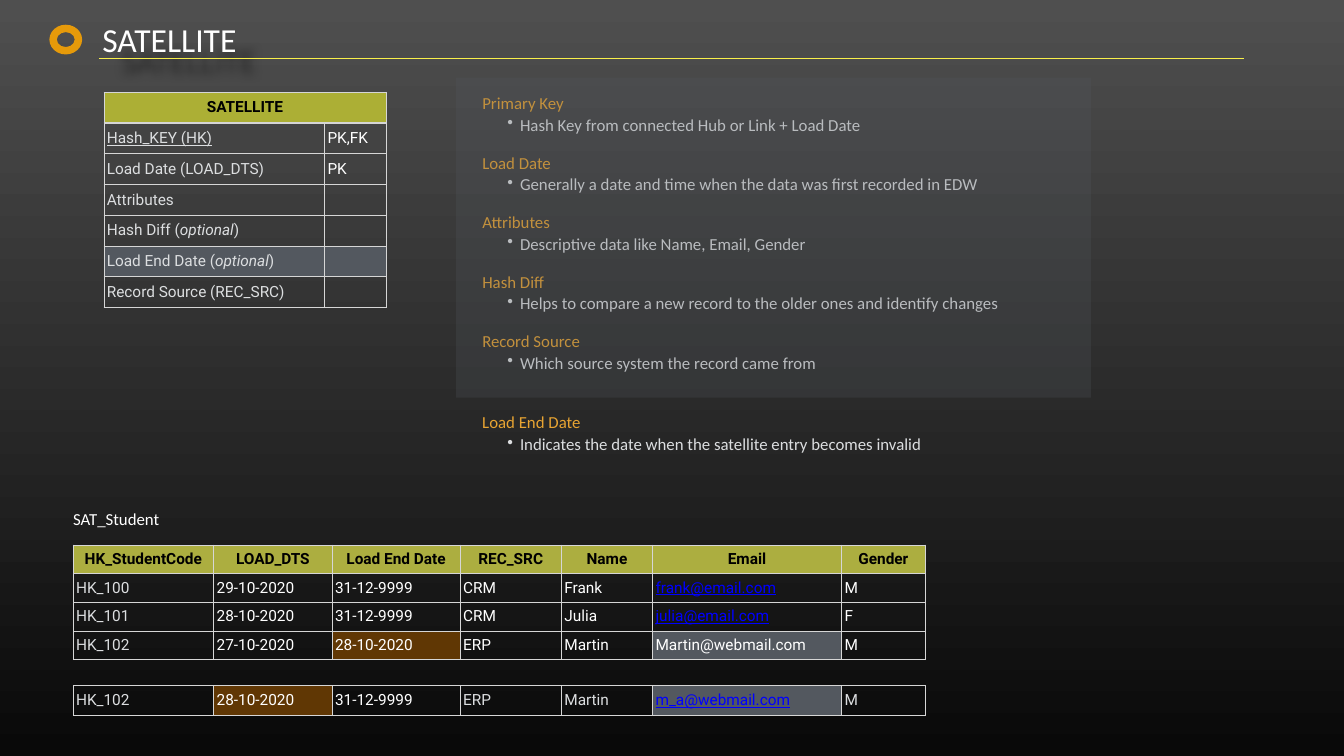
from dataclasses import dataclass

from lxml import etree
from pptx import Presentation
from pptx.dml.color import RGBColor
from pptx.enum.shapes import MSO_CONNECTOR as CONNECTOR, MSO_SHAPE as SHAPE
from pptx.enum.text import MSO_ANCHOR as ANCHOR, PP_ALIGN as ALIGN
from pptx.oxml.ns import qn
from pptx.util import Inches, Pt

WHITE, SILVER, BLACK = "FFFFFF", "DCDEE0", "000000"
GOLD, YELLOW, LINK = "E8A432", "F8EF4A", "0000FF"
OLIVE, BROWN, SLATE, BORDER = "ACAE40", "603704", "53585F", "D6D6D6"
INSET = 0.06
STUDENT_COLUMNS = [2.79, 2.35, 2.54, 2.01, 1.81, 3.75, 1.66]

DEFINITIONS = [
    ("Primary Key", "Hash Key from connected Hub or Link + Load Date"),
    ("Load Date", "Generally a date and time when the data was first recorded in EDW"),
    ("Attributes", "Descriptive data like Name, Email, Gender"),
    ("Hash Diff", "Helps to compare a new record to the older ones and identify changes"),
    ("Record Source", "Which source system the record came from"),
]
LOAD_END_DATE = ("Load End Date", "Indicates the date when the satellite entry becomes invalid")


@dataclass
class Entry:
    """A table cell; text between bars is italic."""
    text: str = ""
    color: str = WHITE
    fill: str = ""
    underline: bool = False
    header: bool = False


def rgb(code):
    return RGBColor.from_string(code)


def style(font, size, color, name="Calibri"):
    font.size, font.name = Pt(size), name
    font.color.rgb = rgb(color)


def sub(parent, tag, **attributes):
    return etree.SubElement(parent, qn(tag), {k: str(v) for k, v in attributes.items()})


def add_background(slide):
    fill = slide.background.fill
    fill.gradient()
    fill.gradient_angle = 270
    for stop, color, position in zip(fill.gradient_stops, ("4F4F4F", "090909"), (0, 1)):
        stop.color.rgb, stop.position = rgb(color), position


def add_text_box(slide, left, top, width, height, inset=INSET):
    box = slide.shapes.add_textbox(Inches(left), Inches(top), Inches(width), Inches(height))
    frame = box.text_frame
    frame.word_wrap, frame.vertical_anchor = True, ANCHOR.MIDDLE
    frame.margin_left = frame.margin_right = Inches(inset)
    frame.margin_top = frame.margin_bottom = Inches(inset)
    return box


def add_heading(slide):
    title = add_text_box(slide, 1.95, 0.39, 10.57, 0.77, inset=0.08)
    paragraph = title.text_frame.paragraphs[0]
    paragraph.text = "SATELLITE"
    style(paragraph.font, 48, WHITE)
    effects = sub(title._element.spPr, "a:effectLst")
    shadow = sub(effects, "a:outerShdw", blurRad=Inches(0.2), dist=Inches(0.55), dir=2700000)
    sub(sub(shadow, "a:srgbClr", val=BLACK), "a:alpha", val=50000)

    rule = slide.shapes.add_connector(
        CONNECTOR.STRAIGHT, Inches(1.97), Inches(1.15), Inches(24.69), Inches(1.15))
    rule.line.color.rgb, rule.line.width = rgb(YELLOW), Pt(1)
    sub(rule._element.spPr, "a:effectLst")


def add_plain_shape(slide, kind, left, top, width, height, color):
    shape = slide.shapes.add_shape(
        kind, Inches(left), Inches(top), Inches(width), Inches(height))
    shape.shadow.inherit = False
    shape.fill.solid()
    shape.fill.fore_color.rgb = rgb(color)
    shape.line.fill.background()
    return shape


def add_definition(slide, top, term, meaning, width=13.98):
    frame = add_text_box(slide, 9.51, top, width, 0.99).text_frame
    heading = frame.paragraphs[0]
    heading.text = term
    detail = frame.add_paragraph()
    detail.text, detail.level = meaning, 1
    properties = detail._p.get_or_add_pPr()
    properties.set("marL", str(Inches(0.75)))
    properties.set("indent", str(Inches(-0.25)))
    detail.space_before = Pt(5)
    sub(properties, "a:buChar", char="•")
    for paragraph, color in ((heading, GOLD), (detail, SILVER)):
        paragraph.line_spacing = 0.9
        style(paragraph.font, 24, color)


def add_cell_borders(cell, bottom_width):
    properties = cell._tc.get_or_add_tcPr()
    for tag, width in (("a:lnL", 1), ("a:lnR", 1), ("a:lnT", 1), ("a:lnB", bottom_width)):
        line = sub(properties, tag, w=Pt(width))
        sub(sub(line, "a:solidFill"), "a:srgbClr", val=BORDER)


def write_cell(cell, entry):
    add_cell_borders(cell, 2 if entry.header else 1)
    if entry.fill:
        cell.fill.solid()
        cell.fill.fore_color.rgb = rgb(entry.fill)
    else:
        cell.fill.background()
    cell.vertical_anchor = ANCHOR.MIDDLE
    cell.margin_left = cell.margin_right = Inches(INSET)
    cell.margin_top = cell.margin_bottom = Inches(INSET)

    paragraph = cell.text_frame.paragraphs[0]
    paragraph.alignment = ALIGN.CENTER if entry.header else ALIGN.LEFT
    style(paragraph.font, 22, entry.color, "Roboto")
    paragraph.font.bold, paragraph.font.underline = entry.header, entry.underline
    for index, part in enumerate(entry.text.split("|")):
        if part:
            run = paragraph.add_run()
            run.text = part
            if index % 2:
                run.font.italic = True


def add_grid(slide, left, top, columns, row_height, rows):
    table = slide.shapes.add_table(
        len(rows), len(columns), Inches(left), Inches(top),
        Inches(sum(columns)), Inches(row_height * len(rows))).table
    table.first_row = table.horz_banding = False
    for column, width in zip(table.columns, columns):
        column.width = Inches(width)
    for r, row in enumerate(rows):
        table.rows[r].height = Inches(row_height)
        for c, entry in enumerate(row):
            write_cell(table.cell(r, c), entry)
    return table


def header(text, fill=OLIVE):
    return Entry(text, BLACK, fill, header=True)


def student(code, loaded, ended, source, name, email, gender):
    return [Entry(code, SILVER), Entry(loaded), Entry(ended), Entry(source),
            Entry(name), Entry(email, LINK, underline=True), Entry(gender)]


def add_structure_table(slide):
    rows = [
        [header("SATELLITE", "ACAF35"), header("", "ACAF35")],
        [Entry("Hash_KEY (HK)", SILVER, underline=True), Entry("PK,FK")],
        [Entry("Load Date (LOAD_DTS)", SILVER), Entry("PK")],
        [Entry("Attributes", SILVER), Entry()],
        [Entry("Hash Diff (|optional|)", SILVER), Entry()],
        [Entry("Load End Date (|optional|)", SILVER, SLATE), Entry(fill=SLATE)],
        [Entry("Record Source (REC_SRC)", SILVER), Entry()],
    ]
    table = add_grid(slide, 2.06, 1.83, [4.38, 1.22], 0.61, rows)
    table.cell(0, 0).merge(table.cell(0, 1))


def add_student_tables(slide):
    label = add_text_box(slide, 1.39, 10.02, 2.88, 0.6).text_frame.paragraphs[0]
    label.text, label.line_spacing = "SAT_Student", 0.9
    style(label.font, 24, WHITE)

    names = ["HK_StudentCode", "LOAD_DTS", "Load End Date", "REC_SRC", "Name", "Email", "Gender"]
    closed = student("HK_102", "27-10-2020", "28-10-2020", "ERP", "Martin", "", "M")
    closed[2].fill = BROWN
    closed[5] = Entry("Martin@webmail.com", fill=SLATE)
    add_grid(slide, 1.45, 10.81, STUDENT_COLUMNS, 0.57, [
        [header(name) for name in names],
        student("HK_100", "29-10-2020", "31-12-9999", "CRM", "Frank", "frank@email.com", "M"),
        student("HK_101", "28-10-2020", "31-12-9999", "CRM", "Julia", "julia@email.com", "F"),
        closed,
    ])

    # New version of the closed record
    current = student("HK_102", "28-10-2020", "31-12-9999", "ERP", "Martin", "m_a@webmail.com", "M")
    current[1].fill, current[5].fill = BROWN, SLATE
    for column in (3, 4, 6):
        current[column].color = SILVER
    add_grid(slide, 1.45, 13.6, STUDENT_COLUMNS, 0.6, [current])


def main():
    deck = Presentation()
    deck.slide_width, deck.slide_height = Inches(26.67), Inches(15)
    slide = deck.slides.add_slide(deck.slide_layouts[6])

    # Heading
    add_background(slide)
    add_heading(slide)
    add_plain_shape(slide, SHAPE.DONUT, 0.98, 0.49, 0.65, 0.59, "E69A0A")

    # Tables
    add_structure_table(slide)
    add_student_tables(slide)

    # Definitions, dimmed by a translucent panel except the last
    for index, (term, meaning) in enumerate(DEFINITIONS):
        add_definition(slide, 1.79 + 1.18 * index, term, meaning)
    add_definition(slide, 8.12, *LOAD_END_DATE, width=12.13)
    panel = add_plain_shape(slide, SHAPE.RECTANGLE, 9.05, 1.54, 12.6, 6.35, SLATE)
    sub(panel._element.spPr.find(qn("a:solidFill"))[0], "a:alpha", val=25000)

    deck.save("out.pptx")


if __name__ == "__main__":
    main()
